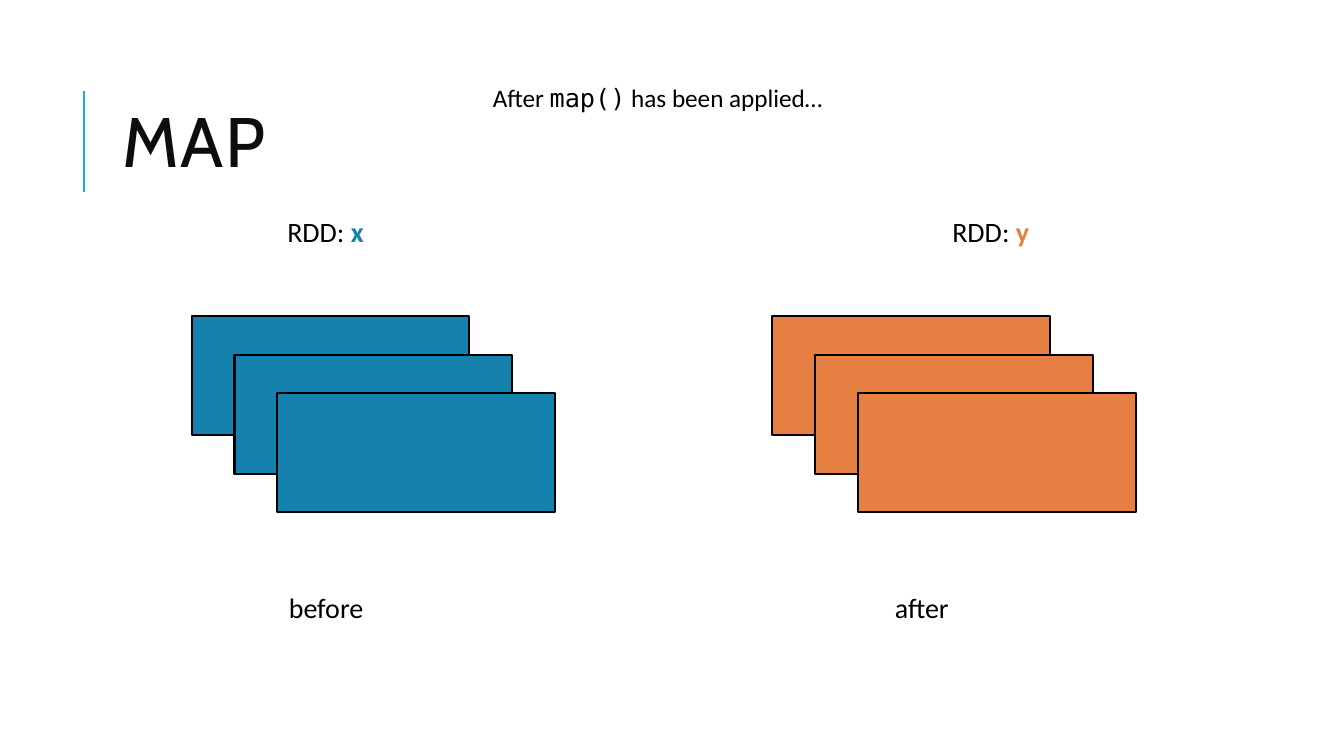
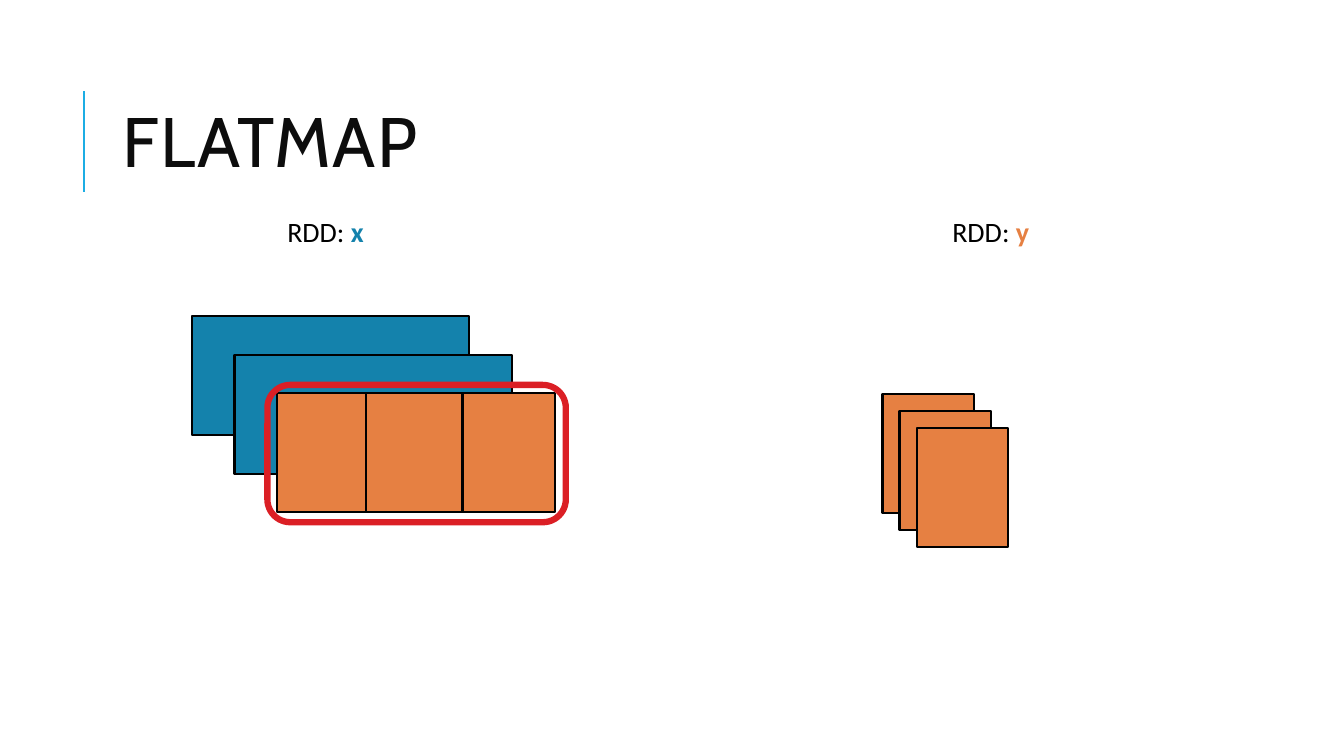
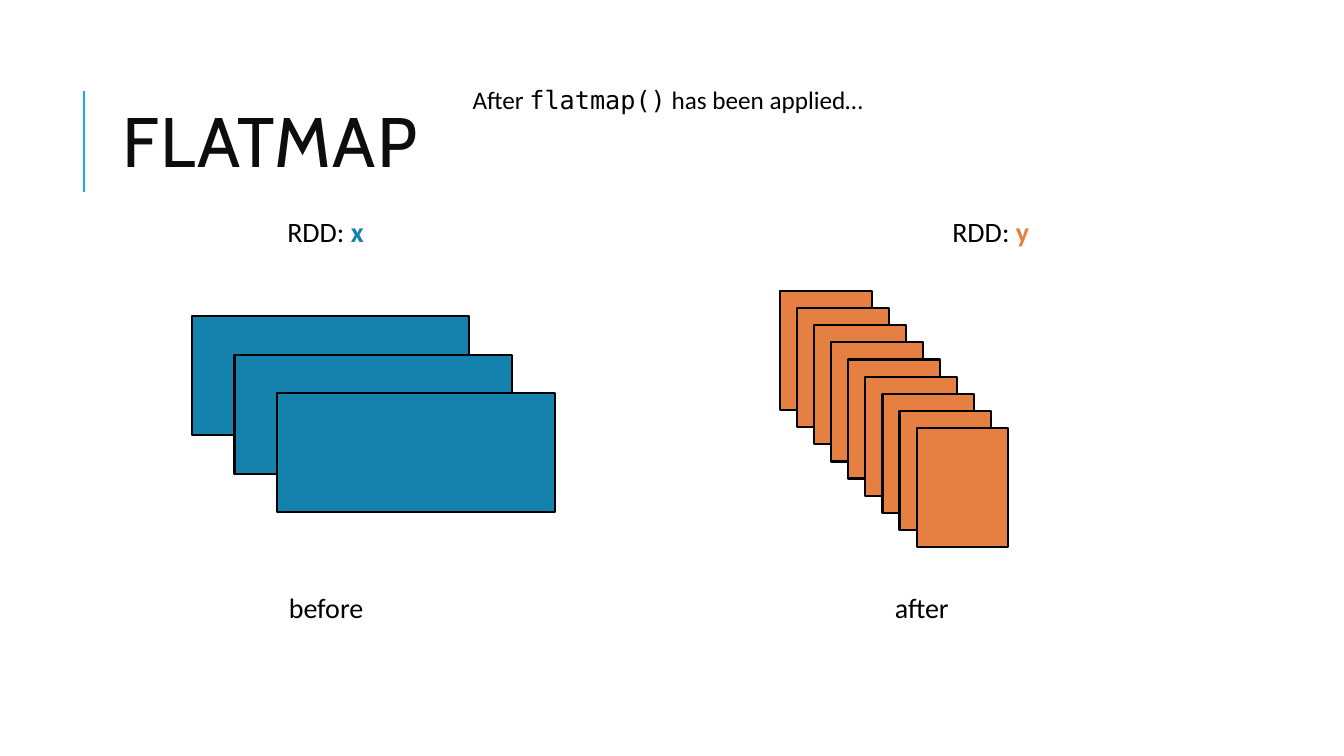
from lxml.etree import SubElement
from pptx import Presentation
from pptx.dml.color import RGBColor
from pptx.enum.shapes import MSO_CONNECTOR as Link, MSO_SHAPE as Kind
from pptx.enum.text import MSO_ANCHOR as Anchor, MSO_AUTO_SIZE as Fit, PP_ALIGN as Align
from pptx.oxml.ns import qn
from pptx.util import Cm, Pt

BLUE, ORANGE, RED = "1482AC", "E68042", "DB1F25"
BLACK, INK, SKY = "000000", "0D0D0D", "1CADE4"
BODY, HEAD, CODE = "Calibri", "Cabin", "DejaVu Sans Mono"
LEFT, RIGHT, TOP = 4.83, 19.46, 7.97
WIDE, SLIM, HIGH = 7, 2.31, 3
SLIM_X, SLIM_Y, STEP = 19.66, 7.34, 0.43


def color(code):
    return RGBColor.from_string(code)


def add_run(para, text, size, font=BODY, ink=BLACK, bold=False):
    run = para.add_run()
    run.text = text
    run.font.size = Pt(size)
    run.font.name = font
    run.font.bold = bold
    run.font.color.rgb = color(ink)
    return run


def add_label(slide, x, y, width, size, *runs):
    height = 1.12 if size == 20 else 1.02
    box = slide.shapes.add_textbox(Cm(x), Cm(y), Cm(width), Cm(height))
    frame = box.text_frame
    frame.word_wrap = True
    frame.auto_size = Fit.SHAPE_TO_FIT_TEXT
    for text, *style in runs:
        add_run(frame.paragraphs[0], text, size, *style)


def add_line(slide, x, top, bottom, ink, weight):
    line = slide.shapes.add_connector(Link.STRAIGHT, Cm(x), Cm(top), Cm(x), Cm(bottom))
    line.line.color.rgb = color(ink)
    line.line.width = Pt(weight)
    SubElement(line._element.spPr, qn("a:effectLst"))


def add_box(slide, kind, x, y, width, height, fill, edge, weight):
    box = slide.shapes.add_shape(kind, Cm(x), Cm(y), Cm(width), Cm(height))
    box.shadow.inherit = False
    if fill:
        box.fill.solid()
        box.fill.fore_color.rgb = color(fill)
    else:
        box.fill.background()
    box.line.color.rgb = color(edge)
    box.line.width = Pt(weight)


def add_stack(slide, x, y, width, across, down, fills):
    for i, fill in enumerate(fills):
        add_box(slide, Kind.RECTANGLE, x + i * across, y + i * down,
                width, HIGH, fill, BLACK, 1.5)


def add_wide(slide, x, fills):
    add_stack(slide, x, TOP, WIDE, 1.08, 0.97, fills)


def add_slim(slide, first, count):
    add_stack(slide, SLIM_X + first * STEP, SLIM_Y + first * STEP,
              SLIM, STEP, STEP, [ORANGE] * count)


def add_slide(deck, name):
    slide = deck.slides.add_slide(deck.slide_layouts[5])
    add_line(slide, 2.12, 2.3, 4.83, SKY, 1.5)
    title = slide.shapes.title
    title.left, title.top, title.width, title.height = Cm(2.84), Cm(1.63), Cm(27), Cm(4.17)
    frame = title.text_frame
    frame.auto_size = Fit.NONE
    frame.vertical_anchor = Anchor.MIDDLE
    para = frame.paragraphs[0]
    para.alignment = Align.LEFT
    para.line_spacing = 0.8
    run = add_run(para, name, 50, HEAD, INK)
    run.font._element.set("spc", "100")
    for x, var, ink in ((6.99, "x", BLUE), (23.75, "y", ORANGE)):
        add_label(slide, x, 5.27, 3.94, 20, ("RDD: ",), (var, BODY, ink, True))
    return slide


def add_notes(slide, x, y, width, call):
    add_label(slide, x, y, width, 18,
              ("After ",), (call, CODE), (" has been applied…",))
    for left, word in ((7.03, "before"), (22.3, "after")):
        add_label(slide, left, 14.75, 4.78, 20, (word,))


def main():
    deck = Presentation()
    deck.slide_width, deck.slide_height = Cm(33.87), Cm(19.05)

    slide = add_slide(deck, "MAP")
    add_wide(slide, LEFT, [BLUE] * 3)
    add_wide(slide, RIGHT, [ORANGE] * 3)
    add_notes(slide, 12.17, 1.95, 9.83, "map()")

    slide = add_slide(deck, "FLATMAP")
    add_wide(slide, LEFT, [BLUE, BLUE, ORANGE])
    add_box(slide, Kind.ROUNDED_RECTANGLE, 6.74, 9.7, 7.52, 3.46, None, RED, 4.5)
    for x in (9.22, 11.66):
        add_line(slide, x, 9.91, 12.91, BLACK, 1.75)
    add_slim(slide, 6, 3)

    slide = add_slide(deck, "FLATMAP")
    add_wide(slide, LEFT, [BLUE] * 3)
    add_slim(slide, 0, 9)
    add_notes(slide, 11.66, 2, 11.15, "flatmap()")

    deck.save("out.pptx")


if __name__ == "__main__":
    main()
